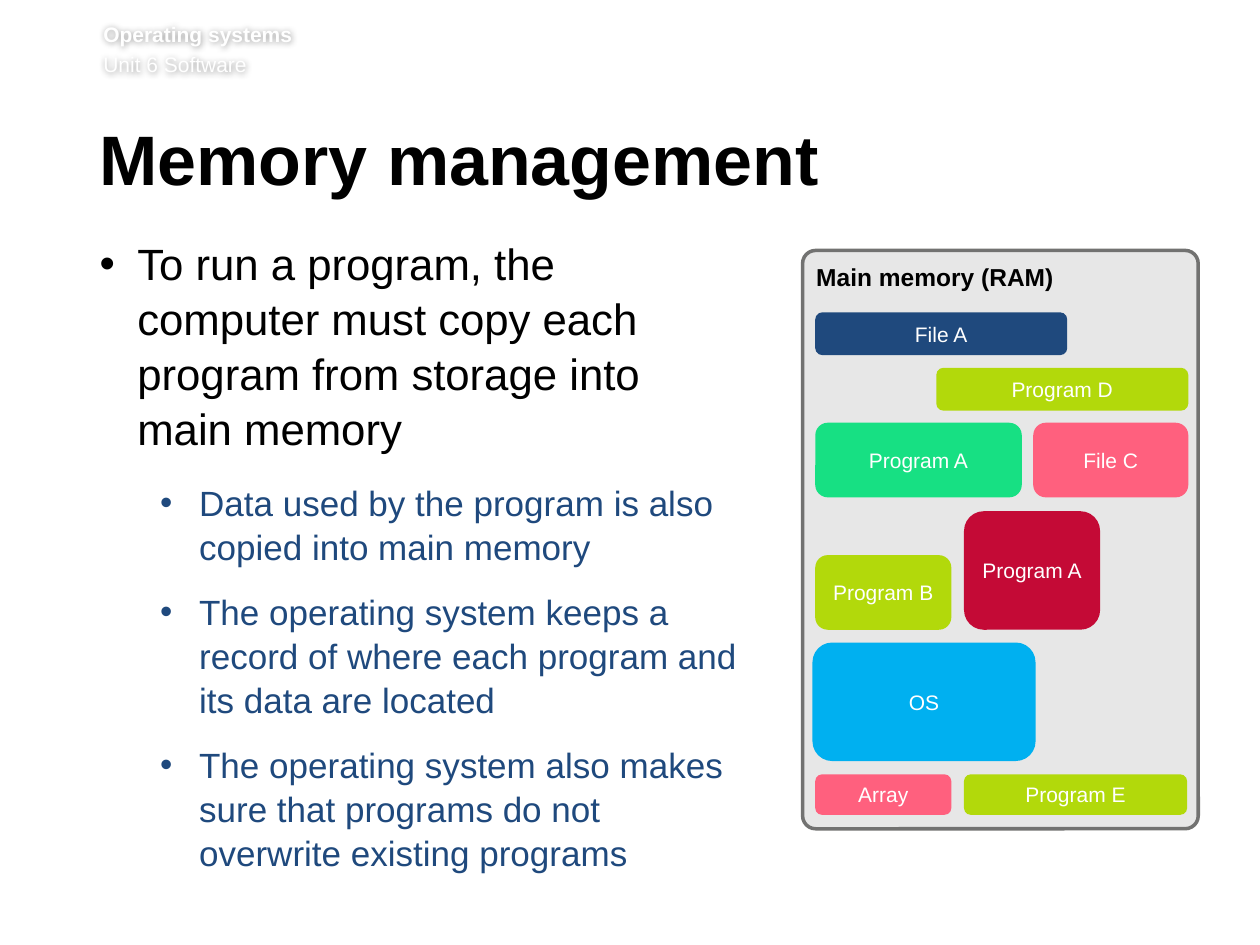
from dataclasses import dataclass

from lxml.etree import SubElement
from pptx import Presentation
from pptx.dml.color import RGBColor
from pptx.enum.shapes import MSO_SHAPE
from pptx.enum.text import MSO_ANCHOR, MSO_AUTO_SIZE, PP_ALIGN
from pptx.oxml.ns import qn
from pptx.util import Inches, Pt


@dataclass(frozen=True)
class Theme:
    font: str = "Arial"
    black: str = "000000"
    white: str = "FFFFFF"
    navy: str = "1F497D"
    lime: str = "B2D90B"
    green: str = "17E083"
    pink: str = "FF607E"
    red: str = "C40A36"
    sky: str = "00B0F0"
    panel: str = "E7E7E7"
    edge: str = "727271"
    small: int = 12
    label: int = 14
    sub: int = 20
    lead: int = 25
    title: int = 40


@dataclass(frozen=True)
class Box:
    left: float
    top: float
    width: float
    height: float

    def share(self, x, y, w, h):
        """Return the inner box at the given percentages of this one."""
        return Box(self.left + self.width * x / 100,
                   self.top + self.height * y / 100,
                   self.width * w / 100, self.height * h / 100)

    def emu(self):
        return [Inches(v) for v in
                (self.left, self.top, self.width, self.height)]


THEME = Theme()
PAGE = Box(0, 0, 10, 7.5)

POINTS = [
    (0, "To run a program, the computer must copy each program "
        "from storage into main memory"),
    (1, "Data used by the program is also copied into main memory"),
    (1, "The operating system keeps a record of where each program "
        "and its data are located"),
    (1, "The operating system also makes sure that programs do not "
        "overwrite existing programs"),
]

# Per level: size, colour, left margin, hanging indent, space after
LEVELS = [
    (THEME.lead, THEME.black, 0.3, 0.3, 14),
    (THEME.sub, THEME.navy, 0.79, 0.31, 12),
]

# Rows of memory: top and height, then blocks as (name, left, width, colour);
# all lengths are percentages of the panel
ROWS = [
    (10.7, 7.4, [("File A", 3.2, 63.7, THEME.navy)]),
    (20.3, 7.4, [("Program D", 33.8, 63.7, THEME.lime)]),
    (29.8, 12.9, [("Program A", 3.2, 52.2, THEME.green),
                  ("File C", 58.3, 39.2, THEME.pink)]),
    (45.1, 20.5, [("Program A", 40.8, 34.4, THEME.red)]),
    (52.7, 12.9, [("Program B", 3.2, 34.4, THEME.lime)]),
    (67.8, 20.5, [("OS", 2.5, 56.4, THEME.sky)]),
    (90.6, 7, [("Array", 3.2, 34.4, THEME.pink),
               ("Program E", 40.8, 56.4, THEME.lime)]),
]


def write(para, text, size, color, bold=False):
    run = para.add_run()
    run.text = text
    font = run.font
    font.name, font.size, font.bold = THEME.font, Pt(size), bold
    font.color.rgb = RGBColor.from_string(color)


def inset(frame, left, top, right, bottom):
    frame.margin_left, frame.margin_top = Inches(left), Inches(top)
    frame.margin_right, frame.margin_bottom = Inches(right), Inches(bottom)


def settle(holder, box, top):
    """Move a placeholder to its box and return its prepared frame."""
    holder.left, holder.top, holder.width, holder.height = box.emu()
    frame = holder.text_frame
    frame.word_wrap = True
    frame.auto_size = MSO_AUTO_SIZE.NONE
    frame.vertical_anchor = MSO_ANCHOR.TOP
    inset(frame, 0, top, 0.1, 0.05)
    return frame


def halo(shape):
    """Give the text of an unfilled shape a soft grey shadow."""
    effects = SubElement(shape._element.spPr, qn("a:effectLst"))
    shade = SubElement(effects, qn("a:outerShdw"), blurRad="50800",
                       dist="0", dir="0", algn="ctr", rotWithShape="0")
    color = SubElement(shade, qn("a:srgbClr"), val=THEME.black)
    SubElement(color, qn("a:alpha"), val="40000")


def header(slide, box):
    shape = slide.shapes.add_textbox(*box.emu())
    frame = shape.text_frame
    frame.word_wrap = True
    inset(frame, 0, 0, 0, 0.05)
    write(frame.paragraphs[0], "Operating systems", THEME.small,
          THEME.white, True)
    para = frame.add_paragraph()
    para.space_before = Pt(2.9)
    write(para, "Unit 6 Software", THEME.small, THEME.white)
    halo(shape)


def title(slide, box):
    para = settle(slide.shapes.title, box, 0.05).paragraphs[0]
    para.alignment = PP_ALIGN.LEFT
    para.line_spacing = Pt(39)
    write(para, "Memory management", THEME.title, THEME.black, True)


def bullets(slide, box):
    frame = settle(slide.placeholders[1], box, 0)
    for i, (level, text) in enumerate(POINTS):
        size, color, left, hang, after = LEVELS[level]
        para = frame.add_paragraph() if i else frame.paragraphs[0]
        para.level = level
        props = para._p.get_or_add_pPr()
        props.set("marL", str(Inches(left)))
        props.set("indent", str(-Inches(hang)))
        SubElement(props, qn("a:buFont"), typeface=THEME.font)
        SubElement(props, qn("a:buChar"), char="•")
        para.line_spacing = 1.05
        para.space_before, para.space_after = Pt(0), Pt(after)
        write(para, text, size, color)


def block(group, box, fill):
    shape = group.shapes.add_shape(MSO_SHAPE.ROUNDED_RECTANGLE, *box.emu())
    shape.shadow.inherit = False
    shape.fill.solid()
    shape.fill.fore_color.rgb = RGBColor.from_string(fill)
    shape.line.fill.background()
    return shape


def memory(slide, box):
    group = slide.shapes.add_group_shape()
    panel = block(group, box, THEME.panel)
    panel.adjustments[0] = 0.033
    panel.line.color.rgb = RGBColor.from_string(THEME.edge)
    panel.line.width = Pt(2)

    label = group.shapes.add_textbox(*box.share(0.3, 0.9, 66.9, 7.4).emu())
    label.text_frame.word_wrap = False
    write(label.text_frame.paragraphs[0], "Main memory (RAM)", THEME.label,
          THEME.black, True)

    for top, height, blocks in ROWS:
        for name, left, width, fill in blocks:
            shape = block(group, box.share(left, top, width, height), fill)
            frame = shape.text_frame
            frame.word_wrap = True
            frame.vertical_anchor = MSO_ANCHOR.MIDDLE
            inset(frame, 0, 0, 0, 0)
            para = frame.paragraphs[0]
            para.alignment = PP_ALIGN.CENTER
            write(para, name, THEME.small, THEME.white)


def main():
    deck = Presentation()
    deck.slide_width, deck.slide_height = PAGE.emu()[2:]
    slide = deck.slides.add_slide(deck.slide_layouts[1])
    header(slide, PAGE.share(8.2, 2.3, 88.2, 6.5))
    title(slide, PAGE.share(7.9, 13.2, 85.5, 9.7))
    bullets(slide, PAGE.share(7.9, 24.8, 51.9, 69.7))
    memory(slide, PAGE.share(63.7, 26.5, 31.4, 61.2))
    deck.save("out.pptx")


if __name__ == "__main__":
    main()
